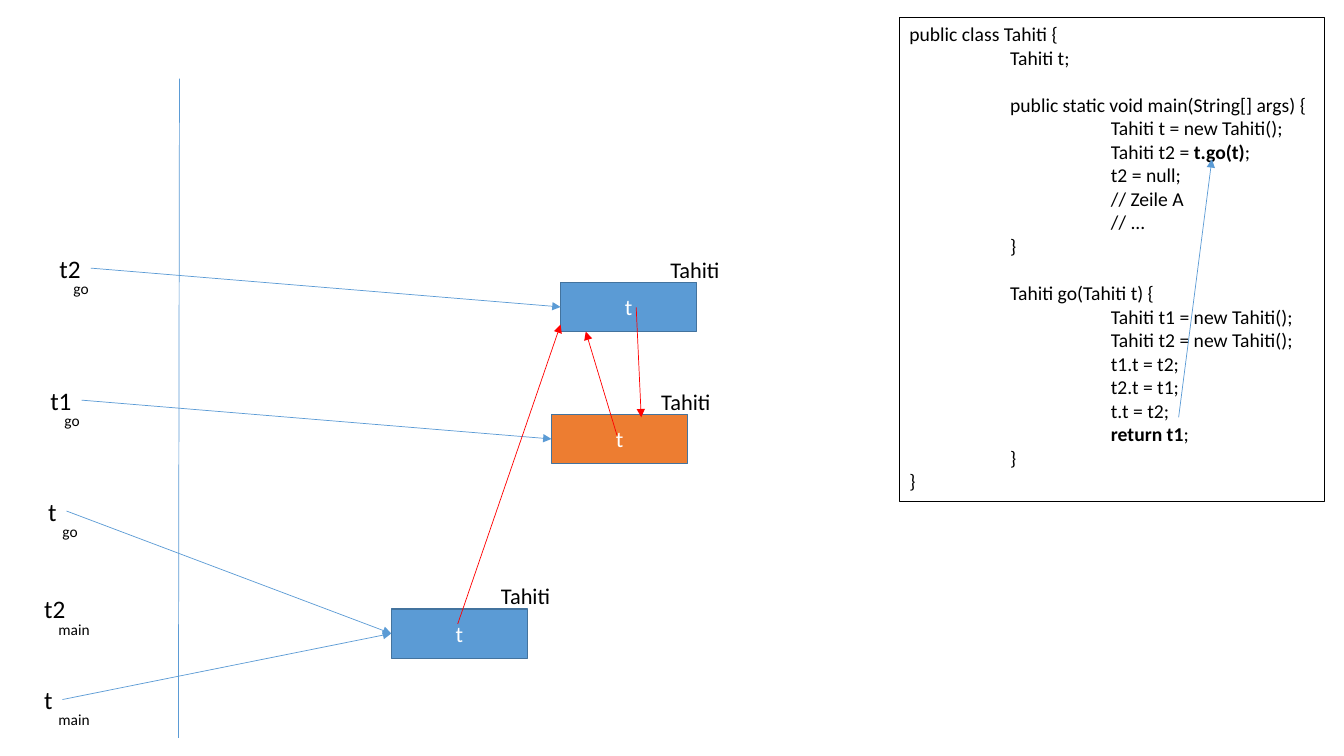
from lxml import etree
from pptx import Presentation, util as u
from pptx.dml.color import RGBColor
from pptx.enum import shapes, text
from pptx.oxml.ns import qn

CODE = """public class Tahiti {
\tTahiti t;

\tpublic static void main(String[] args) {
\t\tTahiti t = new Tahiti();
\t\tTahiti t2 = **t.go(t)**;
\t\tt2 = null;
\t\t// Zeile A
\t\t// ...
\t}

\tTahiti go(Tahiti t) {
\t\tTahiti t1 = new Tahiti();
\t\tTahiti t2 = new Tahiti();
\t\tt1.t = t2;
\t\tt2.t = t1;
\t\tt.t = t2;
\t\t**return t1**;
\t}
}"""
BLACK, WHITE, BLUE, ORANGE, RED = "000000", "FFFFFF", "5B9BD5", "ED7D31", "FF0000"
OUTLINE = "43739E"


def color(value):
    return RGBColor.from_string(value)


class Diagram:
    """Draws variables, objects and references on one slide in a shared style."""

    font = "Calibri"

    def __init__(self, slide):
        self.slide = slide

    def add_run(self, paragraph, words, size, fill=BLACK, bold=False):
        run = paragraph.add_run()
        run.text = words
        run.font.name = self.font
        run.font.size = u.Pt(size)
        run.font.bold = bold
        run.font.color.rgb = color(fill)

    def add_text_box(self, x, y, width, height):
        shape = self.slide.shapes.add_textbox(*map(u.Inches, (x, y, width, height)))
        shape.text_frame.word_wrap = False
        shape.text_frame.auto_size = text.MSO_AUTO_SIZE.SHAPE_TO_FIT_TEXT
        return shape

    def add_label(self, words, x, y, width, height, size):
        shape = self.add_text_box(x, y, width, height)
        self.add_run(shape.text_frame.paragraphs[0], words, size)
        return shape

    def add_code(self, code, x, y, width, height, size=14):
        shape = self.add_text_box(x, y, width, height)
        shape.line.color.rgb = color(BLACK)
        shape.line.width = u.Pt(0.75)
        frame = shape.text_frame
        paragraph, gap = frame.paragraphs[0], False
        for number, line in enumerate(code.split("\n")):
            if not line:
                gap = True
                continue
            if number:
                paragraph = frame.add_paragraph()
            if gap:
                paragraph.space_before = u.Pt(16.8)
                gap = False
            properties = paragraph._p.get_or_add_pPr()
            properties.set("marL", str(u.Inches(line.count("\t"))))
            properties.set("indent", "0")
            for index, part in enumerate(line.strip().split("**")):
                if part:
                    self.add_run(paragraph, part, size, bold=index % 2 == 1)

    def add_variable(self, name, scope, x, y):
        label = self.add_label(name, x, y, 0.28 if len(name) == 1 else 0.41, 0.4, 18)
        self.add_label(scope, x + 0.14, y + 0.26, 0.51 if scope == "main" else 0.35, 0.29, 11)
        return label

    def add_object(self, x, y, fill):
        shape = self.slide.shapes.add_shape(
            shapes.MSO_SHAPE.RECTANGLE, *map(u.Inches, (x, y, 1.35, 0.49)))
        shape.shadow.inherit = False
        shape.fill.solid()
        shape.fill.fore_color.rgb = color(fill)
        shape.line.color.rgb = color(OUTLINE)
        shape.line.width = u.Pt(1)
        shape.text_frame.vertical_anchor = text.MSO_ANCHOR.MIDDLE
        paragraph = shape.text_frame.paragraphs[0]
        paragraph.alignment = text.PP_ALIGN.CENTER
        self.add_run(paragraph, "t", 16, WHITE)
        self.add_label("Tahiti", x + 0.99, y - 0.31, 0.69, 0.37, 16)
        return shape

    def add_line(self, start, end, stroke=BLUE, arrow=True):
        connector = self.slide.shapes.add_connector(
            shapes.MSO_CONNECTOR.STRAIGHT, *map(u.Inches, (*start, *end)))
        connector.line.color.rgb = color(stroke)
        connector.line.width = u.Pt(0.5)
        if arrow:
            etree.SubElement(connector.line._get_or_add_ln(), qn("a:tailEnd"), type="triangle")
        etree.SubElement(connector._element.spPr, qn("a:effectLst"))
        return connector

    def add_reference(self, variable, target):
        connector = self.add_line((0, 0), (1, 1))
        connector.begin_connect(variable, 3)
        connector.end_connect(target, 1)


def main():
    presentation = Presentation()
    presentation.slide_width = u.Inches(13.33)
    presentation.slide_height = u.Inches(7.5)
    diagram = Diagram(presentation.slides.add_slide(presentation.slide_layouts[6]))

    diagram.add_code(CODE, 8.92, 0.17, 4.22, 4.81)
    diagram.add_line((1.78, 0.78), (1.77, 7.32), arrow=False)

    first = diagram.add_object(3.88, 6.04, BLUE)
    second = diagram.add_object(5.47, 4.11, ORANGE)
    third = diagram.add_object(5.56, 2.8, BLUE)

    for name, scope, x, y, target in (
        ("t", "main", 0.34, 6.74, first),
        ("t2", "main", 0.34, 5.84, None),
        ("t", "go", 0.38, 4.87, first),
        ("t1", "go", 0.4, 3.77, second),
        ("t2", "go", 0.49, 2.46, third),
    ):
        variable = diagram.add_variable(name, scope, x, y)
        if target is not None:
            diagram.add_reference(variable, target)

    for start, end in (
        ((6.12, 4.32), (5.81, 3.29)),
        ((6.31, 3.05), (6.36, 4.14)),
        ((4.54, 6.19), (5.56, 3.22)),
    ):
        diagram.add_line(start, end, RED)
    diagram.add_line((11.69, 4.14), (12.02, 1.58))

    presentation.save("out.pptx")


if __name__ == "__main__":
    main()
